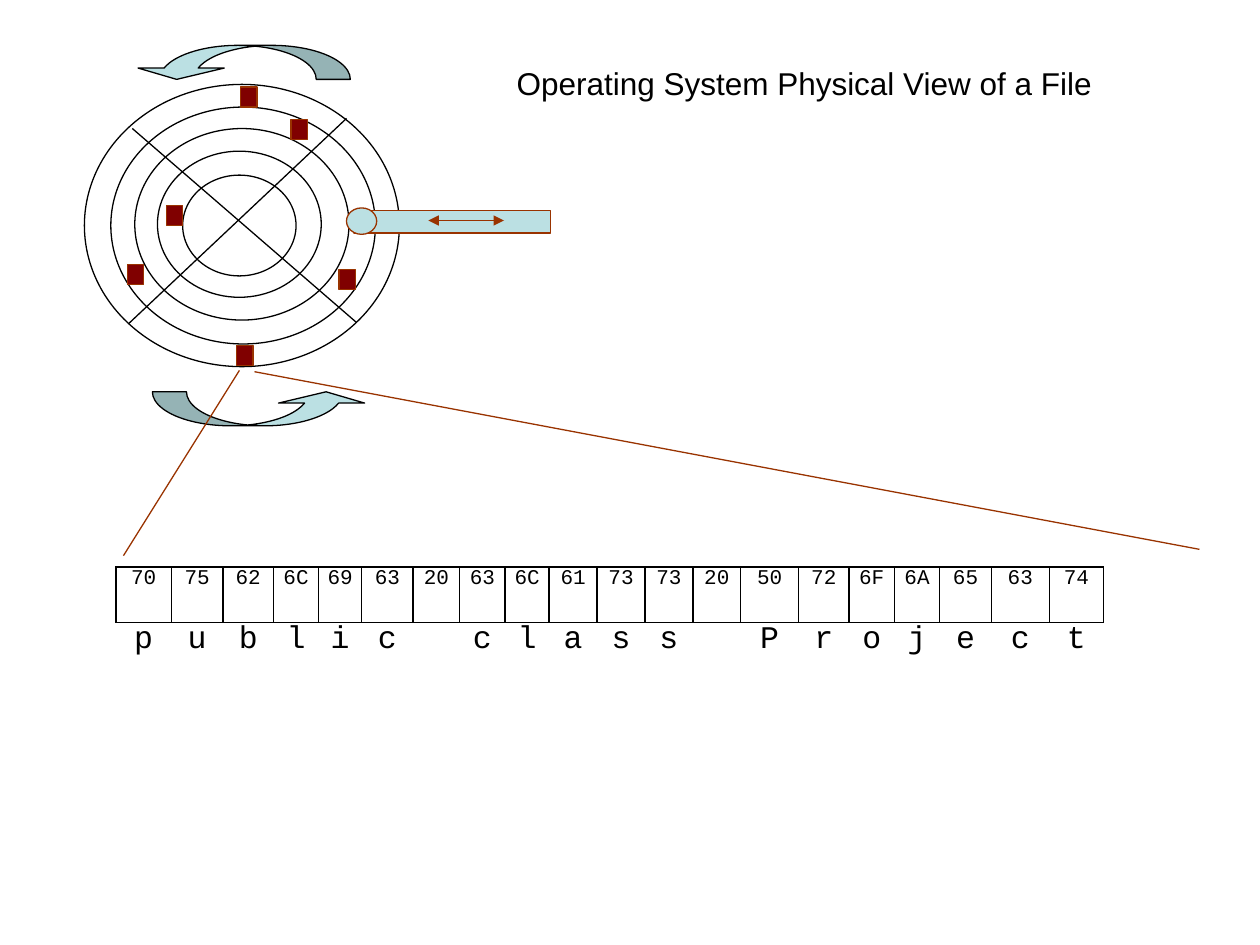
"""Build a slide showing how an operating system stores a file on disk."""
from lxml import etree
from pptx import Presentation
from pptx.dml.color import RGBColor
from pptx.enum.shapes import MSO_CONNECTOR, MSO_SHAPE
from pptx.enum.text import MSO_ANCHOR, MSO_AUTO_SIZE, PP_ALIGN
from pptx.oxml.ns import qn
from pptx.util import Inches, Pt

OVAL = MSO_SHAPE.OVAL
RECTANGLE = MSO_SHAPE.RECTANGLE
CURVED_ARROW = MSO_SHAPE.CURVED_UP_ARROW
STRAIGHT = MSO_CONNECTOR.STRAIGHT
CENTER = PP_ALIGN.CENTER
LEFT = PP_ALIGN.LEFT
TOP = MSO_ANCHOR.TOP
NO_AUTOFIT = MSO_AUTO_SIZE.NONE
TITLE_ONLY = 5

COLORS = {"black": "000000", "block": "800000", "rust": "993300", "pale": "BBE0E3"}
TITLE = "Operating System Physical View of a File"
FILE_TEXT = "public class Project"
BYTE_WIDTHS = [0.44, 0.41, 0.4, 0.36, 0.34, 0.41, 0.37, 0.36, 0.35, 0.38,
               0.38, 0.38, 0.38, 0.46, 0.4, 0.36, 0.36, 0.41, 0.46, 0.43]
ROW_HEIGHT = 0.44
TRACKS = [(0.67, 0.67, 2.5, 2.24), (0.88, 0.85, 2.1, 1.88), (1.45, 1.39, 0.9, 0.8),
          (1.25, 1.2, 1.3, 1.16), (1.07, 1.02, 1.7, 1.52)]
SECTOR_LINES = [((1.05, 1.02), (2.83, 2.56)), ((2.75, 0.94), (1.02, 2.57))]
SPINS = [(1.21, 3.11, 0), (1.06, 0.36, 180)]
BLOCKS = [(1.88, 2.74), (2.69, 2.14), (2.31, 0.95), (1.91, 0.69), (1.32, 1.63), (1.01, 2.1)]
ZOOM_LINES = [((1.9, 2.94), (0.98, 4.41)), ((2.02, 2.95), (9.52, 4.36))]


def color(name):
    """Return the named palette colour."""
    return RGBColor.from_string(COLORS[name])


def outline(item, name):
    """Give a shape or connector a thin line."""
    item.line.color.rgb = color(name)
    item.line.width = Pt(0.75)


def add_figure(shapes, kind, box, line, fill=None):
    """Add a preset shape, unfilled unless a fill is named."""
    figure = shapes.add_shape(kind, *map(Inches, box))
    figure.shadow.inherit = False
    outline(figure, line)
    if fill:
        figure.fill.solid()
        figure.fill.fore_color.rgb = color(fill)
    else:
        figure.fill.background()
    return figure


def add_line(shapes, start, end, line, arrows=False):
    """Add a straight line, with arrowheads at both ends if asked."""
    connector = shapes.add_connector(STRAIGHT, *map(Inches, start + end))
    outline(connector, line)
    properties = connector._element.spPr
    etree.SubElement(properties, qn("a:effectLst"))
    if arrows:
        for end_tag in ("a:headEnd", "a:tailEnd"):
            etree.SubElement(properties.find(qn("a:ln")), qn(end_tag), type="triangle")


def add_run(paragraph, text, font, size):
    """Add one black run of text."""
    run = paragraph.add_run()
    run.text = text
    run.font.name = font
    run.font.size = Pt(size)
    run.font.color.rgb = color("black")


def add_title(slide):
    """Place the slide heading."""
    heading = slide.shapes.title
    heading.left, heading.top, heading.width, heading.height = map(Inches, (4, 0.46, 4.77, 0.4))
    frame = heading.text_frame
    frame.auto_size = NO_AUTOFIT
    frame.word_wrap = False
    frame.vertical_anchor = TOP
    frame.paragraphs[0].alignment = LEFT
    add_run(frame.paragraphs[0], TITLE, "Arial", 18)


def add_disk(shapes):
    """Draw the tracks, sector lines and direction of spin."""
    platter = shapes.add_group_shape().shapes
    for box in TRACKS:
        add_figure(platter, OVAL, box, "black")
    for start, end in SECTOR_LINES:
        add_line(shapes, start, end, "black")
    for left, top, rotation in SPINS:
        spin = add_figure(shapes, CURVED_ARROW, (left, top, 1.72, 0.27), "black", "pale")
        for index, value in enumerate((1.267, 2.533, 0.333)):
            spin.adjustments[index] = value
        spin.rotation = rotation


def set_borders(cell, visible):
    """Draw the listed cell sides in black and hide the others."""
    properties = cell._tc.get_or_add_tcPr()
    for side in "LRTB":
        border = etree.SubElement(properties, qn(f"a:ln{side}"), w=str(Pt(1)))
        if side in visible:
            solid = etree.SubElement(border, qn("a:solidFill"))
            etree.SubElement(solid, qn("a:srgbClr"), val=COLORS["black"])
        else:
            etree.SubElement(border, qn("a:noFill"))


def fill_cell(cell, text, size, borders):
    """Format a cell and write its centred text."""
    set_borders(cell, borders)
    cell.fill.background()
    cell.margin_left = cell.margin_right = cell.margin_top = cell.margin_bottom = 0
    paragraph = cell.text_frame.paragraphs[0]
    paragraph.alignment = CENTER
    if text.strip():
        add_run(paragraph, text, "Courier New", size)


def add_byte_table(shapes):
    """Show each byte in hexadecimal above its character."""
    box = (0.92, 4.5, sum(BYTE_WIDTHS), 2 * ROW_HEIGHT)
    table = shapes.add_table(2, len(FILE_TEXT), *map(Inches, box)).table
    table.first_row = table.horz_banding = False
    for index, (letter, width) in enumerate(zip(FILE_TEXT, BYTE_WIDTHS)):
        table.columns[index].width = Inches(width)
        fill_cell(table.cell(0, index), f"{ord(letter):02X}", 12, "LRTB")
        fill_cell(table.cell(1, index), letter, 18, "T")


def add_blocks(shapes):
    """Mark the file's blocks and enlarge the lowest one."""
    for left, top in BLOCKS:
        add_figure(shapes, RECTANGLE, (left, top, 0.13, 0.16), "rust", "block")
    for start, end in ZOOM_LINES:
        add_line(shapes, start, end, "rust")


def add_arm(shapes):
    """Draw the moving arm with its read head."""
    arm = shapes.add_group_shape().shapes
    add_figure(arm, RECTANGLE, (2.81, 1.67, 1.56, 0.18), "rust", "pale")
    add_line(arm, (3.4, 1.75), (4, 1.75), "rust", arrows=True)
    add_figure(arm, OVAL, (2.75, 1.65, 0.24, 0.21), "rust", "pale")


def main():
    """Build and save the slide."""
    deck = Presentation()
    deck.slide_width, deck.slide_height = Inches(10), Inches(7.5)
    slide = deck.slides.add_slide(deck.slide_layouts[TITLE_ONLY])
    add_disk(slide.shapes)
    add_byte_table(slide.shapes)
    add_blocks(slide.shapes)
    add_arm(slide.shapes)
    add_title(slide)
    deck.save("out.pptx")


if __name__ == "__main__":
    main()
